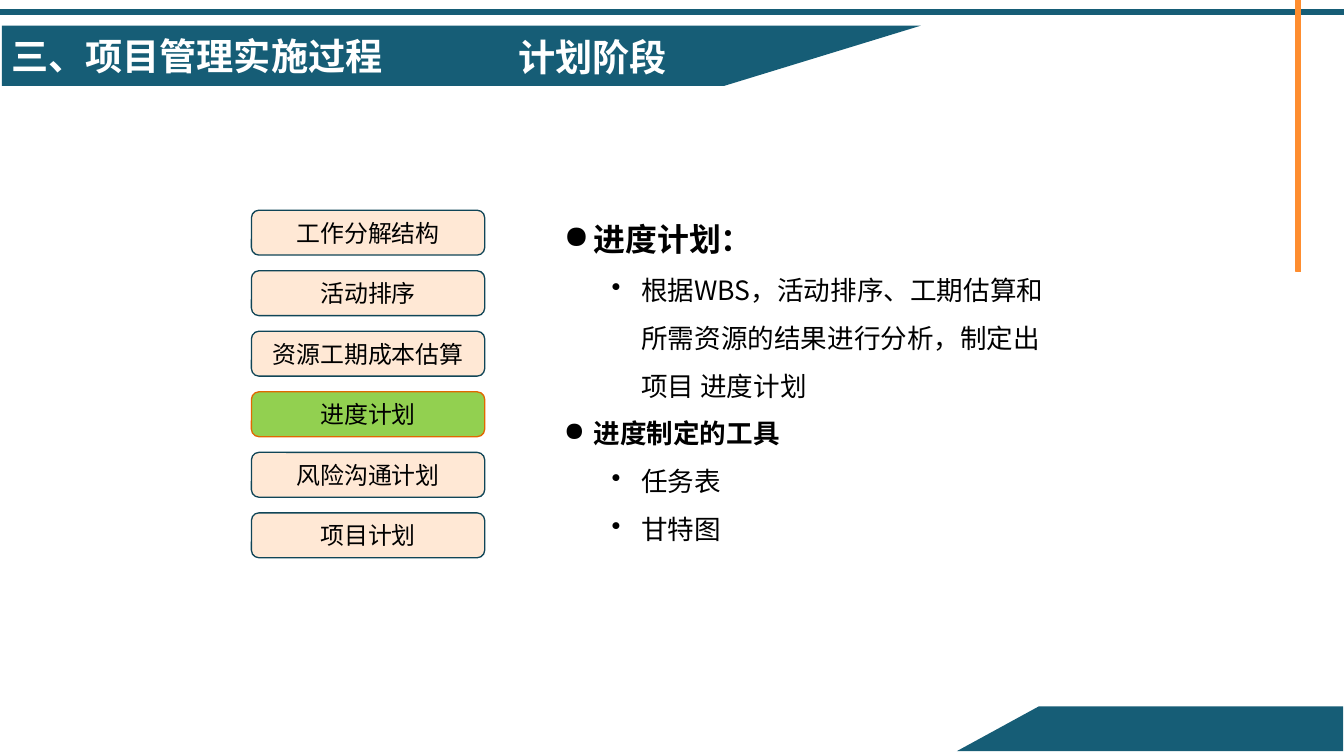
from lxml.etree import SubElement
from pptx import Presentation
from pptx.dml.color import RGBColor
from pptx.enum.shapes import MSO_SHAPE
from pptx.enum.text import MSO_ANCHOR, MSO_AUTO_SIZE, PP_ALIGN
from pptx.oxml.ns import qn
from pptx.util import Pt

TEAL, ORANGE, PEACH, GREEN = "165D76", "FE8D2F", "FFE8D5", "92D050"
STEP_LINE, ACTIVE_LINE = "104557", "E16701"
WHITE, BLACK = "FFFFFF", "000000"
CJK_FONT = "Noto Sans CJK SC"

HEADING = {"name": CJK_FONT, "size": Pt(28), "bold": True}
TITLE = {**HEADING, "name": "Calibri"}
STEP = {"name": CJK_FONT, "size": Pt(18), "bold": False}
TOPIC = {"name": CJK_FONT, "size": Pt(24), "bold": True}
TOOLS = {**TOPIC, "size": Pt(20)}
DETAIL = {**TOOLS, "bold": False}

STEPS = ["工作分解结构", "活动排序", "资源工期成本估算", "进度计划", "风险沟通计划", "项目计划"]
ACTIVE_STEP = "进度计划"
OUTLINE = [
    (0, "进度计划：", TOPIC),
    (1, "根据WBS，活动排序、工期估算和所需资源的结果进行分析，制定出项目 进度计划", DETAIL),
    (0, "进度制定的工具", TOOLS),
    (1, "任务表", DETAIL),
    (1, "甘特图", DETAIL),
]
BULLETS = [("●", 58.3), ("•", 94.3)]
HANGING = 22.3


def color(hex_value):
    """Turn a hex string into a colour."""
    return RGBColor.from_string(hex_value)


def apply_format(target, values):
    """Set each attribute named in values on the target."""
    for name, value in values.items():
        setattr(target, name, value)


def paint(shape, fill, line=None):
    """Give a shape a flat fill and an optional one-point line."""
    shape.shadow.inherit = False
    shape.fill.solid()
    shape.fill.fore_color.rgb = color(fill)
    if line:
        shape.line.color.rgb = color(line)
        shape.line.width = Pt(1)
    else:
        shape.line.fill.background()


def add_box(slide, preset, bounds, fill, line):
    """Add a painted preset shape."""
    shape = slide.shapes.add_shape(preset, *map(Pt, bounds))
    paint(shape, fill, line)
    return shape


def add_polygon(slide, points):
    """Add a closed teal outline through the points."""
    start, *others = [(Pt(x), Pt(y)) for x, y in points]
    builder = slide.shapes.build_freeform(*start)
    builder.add_line_segments(others, close=True)
    paint(builder.convert_to_shape(), TEAL)


def write(paragraph, text, font_format, font_color):
    """Write one run with Latin and East Asian fonts."""
    run = paragraph.add_run()
    run.text = text
    apply_format(run.font, font_format)
    run.font.color.rgb = color(font_color)
    SubElement(run.font._element, qn("a:ea"), typeface=CJK_FONT)


def set_bullet(paragraph, level):
    """Give a paragraph the bullet and hanging indent of its level."""
    character, margin = BULLETS[level]
    properties = paragraph._p.get_or_add_pPr()
    properties.set("marL", str(Pt(margin)))
    properties.set("indent", str(Pt(-HANGING)))
    SubElement(properties, qn("a:buChar"), char=character)
    apply_format(paragraph, {"level": level, "line_spacing": 1.5, "space_before": Pt(0)})


def add_text_box(slide, bounds):
    """Add a wrapping text box and return its text frame."""
    frame = slide.shapes.add_textbox(*map(Pt, bounds)).text_frame
    frame.word_wrap = True
    return frame


def add_decoration(slide):
    """Draw the rules, banner and footer corner."""
    add_box(slide, MSO_SHAPE.RECTANGLE, (0, 7.2, 1012.32, 3.6), TEAL, TEAL)
    for top, height in [(0, 61.2), (46.4, 158.4)]:
        add_box(slide, MSO_SHAPE.RECTANGLE, (976.2, top, 3.6, height), ORANGE, ORANGE)
    add_polygon(slide, [(1.4, 19.4), (693.4, 19.4), (545.8, 64.6), (1.4, 64.6)])
    add_polygon(slide, [(720.7, 565.9), (782.6, 532.1), (1011.6, 532.1), (1011.6, 565.9)])


def add_headings(slide):
    """Write the section name and the slide title over the banner."""
    section = add_text_box(slide, (1.4, 21.6, 352.8, 41.8))
    write(section.paragraphs[0], "三、项目管理实施过程", HEADING, WHITE)
    title = slide.shapes.title
    apply_format(title, {"left": Pt(383), "top": Pt(22.3), "width": Pt(139), "height": Pt(41)})
    apply_format(title.text_frame, {
        "auto_size": MSO_AUTO_SIZE.NONE, "vertical_anchor": MSO_ANCHOR.TOP, "word_wrap": True})
    paragraph = title.text_frame.paragraphs[0]
    paragraph.alignment = PP_ALIGN.LEFT
    write(paragraph, "计划阶段", TITLE, WHITE)
    title.element.getparent().append(title.element)


def add_steps(slide):
    """Stack the planning steps and highlight the active one."""
    for index, step in enumerate(STEPS):
        colors = (GREEN, ACTIVE_LINE) if step == ACTIVE_STEP else (PEACH, STEP_LINE)
        bounds = (189.4, 158.4 + 45.6 * index, 175.7, 33.8)
        shape = add_box(slide, MSO_SHAPE.ROUNDED_RECTANGLE, bounds, *colors)
        shape.text_frame.vertical_anchor = MSO_ANCHOR.MIDDLE
        paragraph = shape.text_frame.paragraphs[0]
        paragraph.alignment = PP_ALIGN.CENTER
        write(paragraph, step, STEP, BLACK)


def add_outline(slide):
    """Write the bulleted schedule outline."""
    frame = add_text_box(slide, (381.6, 147.6, 414, 269.3))
    for index, (level, text, font_format) in enumerate(OUTLINE):
        paragraph = frame.add_paragraph() if index else frame.paragraphs[0]
        set_bullet(paragraph, level)
        write(paragraph, text, font_format, BLACK)


def main():
    """Build and save the slide."""
    presentation = Presentation()
    apply_format(presentation, {"slide_width": Pt(1012.32), "slide_height": Pt(569.52)})
    slide = presentation.slides.add_slide(presentation.slide_layouts.get_by_name("Title Only"))
    add_decoration(slide)
    add_headings(slide)
    add_steps(slide)
    add_outline(slide)
    presentation.save("out.pptx")


if __name__ == "__main__":
    main()
